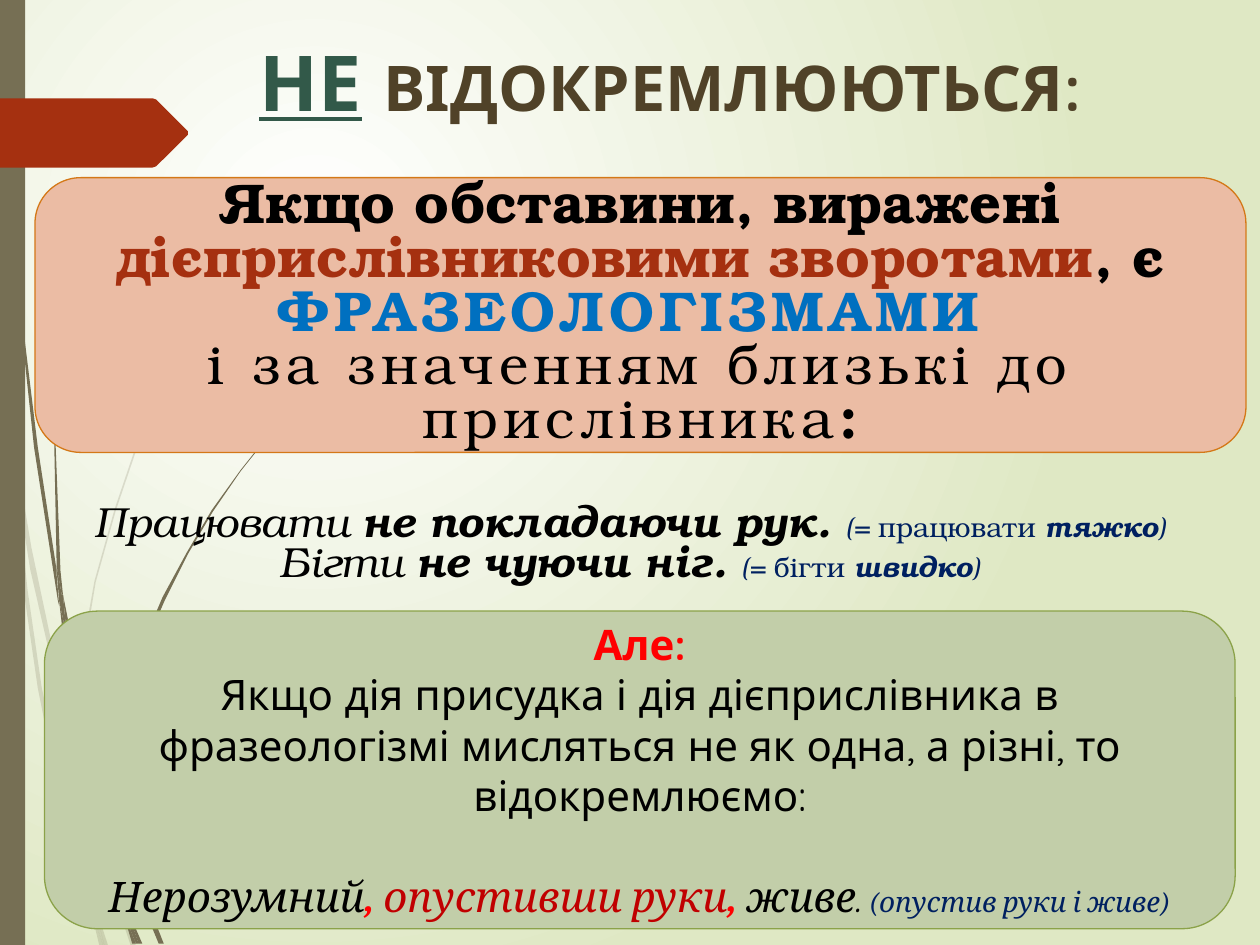
from lxml.etree import SubElement
from pptx import Presentation
from pptx.dml.color import RGBColor
from pptx.enum.shapes import MSO_SHAPE
from pptx.enum.text import MSO_ANCHOR, PP_ALIGN
from pptx.oxml.ns import qn
from pptx.util import Pt

BLACK, RED, NAVY, RUST, OLIVE = "000000", "FF0000", "002060", "A53010", "766F54"
HEADING, SERIF, EXAMPLE = "Quicksand", "TeX Gyre Bonum", "Cambria"

# Outlines of the grass blades, in hundredths of an inch
PALE_BLADES = [
    [(8, 350), (6, 322), (0, 282), (0, 299), (7, 344)],
    [(40, 522), (59, 599), (59, 586), (43, 520), (25, 435), (10, 345), (12, 376), (24, 452)],
    [(64, 607), (61, 596), (61, 610), (85, 694), (104, 751), (108, 751), (88, 692)],
    [(83, 751), (86, 751), (73, 711)],
    [(64, 683), (48, 619), (33, 545), (22, 469), (12, 376), (8, 350), (12, 410), (19, 470),
     (30, 546), (45, 621), (64, 693), (70, 714), (69, 707)],
    [(61, 584), (66, 522), (76, 462), (92, 405), (111, 349), (134, 295), (159, 245),
     (187, 198), (201, 175), (217, 154), (217, 153), (201, 175), (186, 197), (158, 244),
     (133, 294), (110, 348), (91, 404), (75, 461), (64, 522), (59, 584), (61, 596)],
    [(70, 714), (79, 751), (82, 751)],
    [(67, 692), (65, 683), (69, 707), (70, 714), (82, 751), (83, 751), (73, 711)],
]
DARK_BLADES = [
    [(5, 110), (14, 233), (27, 355), (46, 477), (47, 481), (45, 457), (45, 453), (30, 355),
     (15, 232), (6, 109), (4, 48), (3, 0), (2, 0), (3, 48)],
    [(73, 592), (88, 645), (88, 633), (88, 631), (77, 590), (62, 532), (50, 472), (53, 505),
     (62, 549)],
    [(94, 649), (91, 641), (91, 656), (109, 708), (126, 749), (130, 749), (113, 706)],
    [(91, 691), (81, 657), (69, 607), (60, 556), (53, 505), (47, 477), (56, 557), (65, 608),
     (77, 659), (92, 708), (97, 722), (96, 717)],
    [(50, 472), (48, 453), (44, 349), (48, 245), (52, 193), (58, 141), (51, 193), (47, 245),
     (43, 349), (45, 449), (49, 472)],
    [(110, 749), (113, 749), (100, 719)],
    [(47, 477), (53, 505), (50, 472), (49, 472), (45, 449), (45, 453)],
    [(91, 633), (95, 592), (103, 552), (115, 513), (131, 476), (149, 440), (169, 406),
     (191, 374), (203, 359), (216, 344), (215, 344), (203, 358), (191, 373), (168, 405),
     (148, 439), (129, 474), (113, 512), (101, 551), (92, 591), (88, 631), (91, 641)],
    [(97, 722), (105, 749), (108, 749)],
    [(96, 706), (91, 691), (96, 717), (97, 722), (108, 749), (110, 749), (100, 719)],
]
TAG = [(149, 107), (124, 132), (121, 133), (0, 133), (0, 78), (121, 78), (124, 79), (149, 104)]


def color(hex_string):
    return RGBColor.from_string(hex_string)


class SlideBuilder:
    unit = Pt(0.72)

    def __init__(self, slide):
        self.slide = slide

    def background(self, inner, outer):
        """Fill the slide with a gradient that spreads in circles from the upper left."""
        fill = self.slide.background.fill
        fill.gradient()
        for stop, shade in zip(fill.gradient_stops, (inner, outer)):
            stop.color.rgb = color(shade)
        gradient = self.slide.element.find(".//" + qn("a:gradFill"))
        gradient.remove(gradient.find(qn("a:lin")))
        path = SubElement(gradient, qn("a:path"), path="circle")
        SubElement(path, qn("a:fillToRect"), l="50000", t="50000", r="100000", b="100000")

    def paint(self, shape, fill, line=None):
        shape.shadow.inherit = False
        shape.fill.solid()
        shape.fill.fore_color.rgb = color(fill)
        if line:
            shape.line.color.rgb = color(line)
            shape.line.width = Pt(0.75)
        else:
            shape.line.fill.background()

    def outline(self, points, fill, opacity=None):
        builder = self.slide.shapes.build_freeform(*points[0], scale=self.unit)
        builder.add_line_segments(points[1:], close=True)
        shape = builder.convert_to_shape()
        self.paint(shape, fill)
        if opacity:
            solid = shape.element.spPr.find(".//" + qn("a:srgbClr"))
            SubElement(solid, qn("a:alpha"), val=str(opacity * 1000))

    def box(self, kind, position, fill, line=None):
        shape = self.slide.shapes.add_shape(kind, *map(Pt, position))
        self.paint(shape, fill, line)
        frame = shape.text_frame
        frame.word_wrap = True
        frame.vertical_anchor = MSO_ANCHOR.MIDDLE
        return frame

    def text_box(self, position, top_inset=3.6):
        frame = self.slide.shapes.add_textbox(*map(Pt, position)).text_frame
        frame.word_wrap = True
        frame.margin_top = Pt(top_inset)
        return frame

    def paragraph(self, frame, runs, font, size, line_spacing=None, space_before=None,
                  italic=None):
        """Add a centred paragraph; each run is (text, colour, overrides)."""
        first = frame.paragraphs[0]
        paragraph = frame.add_paragraph() if first.runs else first
        paragraph.alignment = PP_ALIGN.CENTER
        if line_spacing:
            paragraph.line_spacing = line_spacing
        if space_before:
            paragraph.space_before = Pt(space_before)
        paragraph.font.name = font
        paragraph.font.size = Pt(size)
        paragraph.font.italic = italic
        for text, shade, overrides in runs:
            run = paragraph.add_run()
            run.text = text
            run.font.color.rgb = color(shade)
            for name, value in overrides.items():
                if name == "spacing":
                    run.font._element.set("spc", str(value * 100))
                else:
                    setattr(run.font, name, Pt(value) if name == "size" else value)


def main():
    presentation = Presentation()
    presentation.slide_width, presentation.slide_height = Pt(720), Pt(540)
    builder = SlideBuilder(presentation.slides.add_slide(presentation.slide_layouts[6]))
    bold = {"bold": True}

    builder.background("FFFFFF", "DFE8C4")
    for blade in PALE_BLADES:
        builder.outline(blade, OLIVE, opacity=20)
    for blade in DARK_BLADES:
        builder.outline(blade, OLIVE)
    builder.box(MSO_SHAPE.RECTANGLE, (0, 0, 14.4, 540), OLIVE)
    builder.outline(TAG, RUST)

    title = builder.text_box((105, 16, 556, 101))
    builder.paragraph(title, [
        ("НЕ", "325949", {"bold": True, "underline": True, "size": 44}),
        (" ", RED, {"bold": True, "size": 44}),
        ("ВІДОКРЕМЛЮЮТЬСЯ:", "504228", bold),
    ], HEADING, 36)

    rule = builder.box(MSO_SHAPE.ROUNDED_RECTANGLE, (20, 101.5, 692, 157), "EBBCA4", "D47817")
    builder.paragraph(rule, [
        ("Якщо обставини, виражені ", BLACK, bold),
        ("дієприслівниковими зворотами", RUST, bold),
        (", є ", BLACK, bold),
        ("ФРАЗЕОЛОГІЗМАМИ ", "0070C0", {"bold": True, "spacing": 3}),
    ], SERIF, 32, line_spacing=0.8)
    builder.paragraph(rule, [
        ("і за значенням близькі до прислівника", BLACK, {"spacing": 3}),
        (":", BLACK, bold),
    ], SERIF, 32, line_spacing=0.8)

    examples = builder.text_box((8.6, 258.5, 703, 104), top_inset=30)
    small = {"size": 16}
    for verb, idiom, plain_verb, adverb in (
            ("Працювати ", "не покладаючи рук. ", "працювати ", "тяжко"),
            ("Бігти ", "не чуючи ніг. ", "бігти ", "швидко")):
        builder.paragraph(examples, [
            (verb, BLACK, {}),
            (idiom, BLACK, bold),
            ("(= ", NAVY, small),
            (plain_verb, NAVY, {"size": 16, "italic": False}),
            (adverb, NAVY, {"size": 16, "bold": True}),
            (")", NAVY, small),
        ], SERIF, 24, line_spacing=0.8, italic=True)

    exception = builder.box(MSO_SHAPE.ROUNDED_RECTANGLE, (25.4, 349.2, 680.4, 181.5),
                            "C2CEA9", "8BA249")
    builder.paragraph(exception, [("Але:", RED, bold)], HEADING, 24)
    builder.paragraph(exception, [
        ("Якщо дія присудка і дія дієприслівника в фразеологізмі мисляться не як одна, "
         "а різні, то відокремлюємо:", BLACK, {}),
    ], HEADING, 24)
    builder.paragraph(exception, [
        ("Нерозумний", BLACK, {}),
        (", ", RED, bold),
        ("опустивши руки", "C00000", {}),
        (",", RED, bold),
        (" живе", BLACK, {}),
        (". ", BLACK, {"size": 18}),
        ("(опустив руки і живе)", NAVY, small),
    ], EXAMPLE, 24, space_before=29, italic=True)

    presentation.save("out.pptx")


if __name__ == "__main__":
    main()
